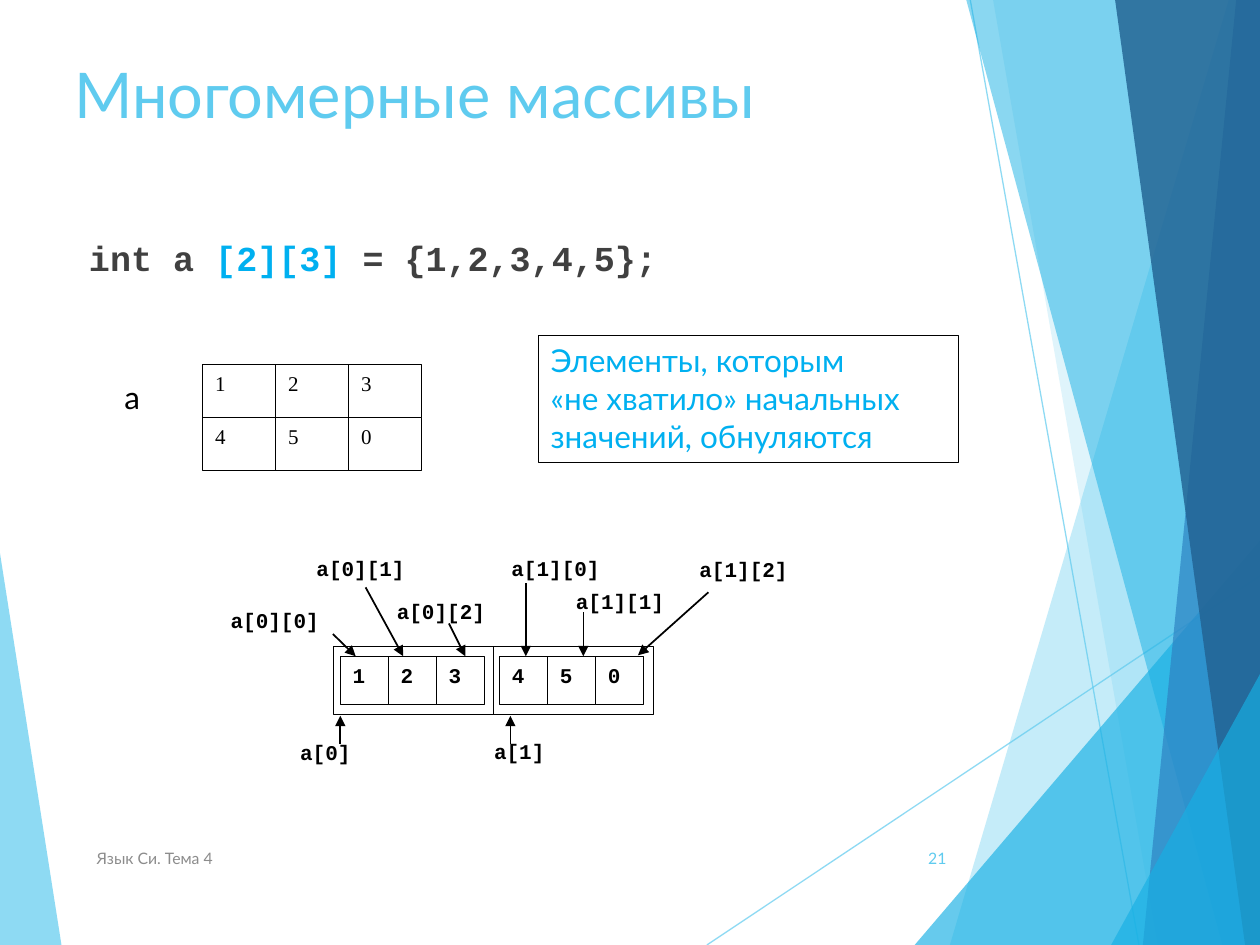
from dataclasses import dataclass
from lxml import etree
from pptx import Presentation
from pptx.dml.color import RGBColor
from pptx.enum.shapes import MSO_CONNECTOR, MSO_SHAPE
from pptx.enum.text import MSO_ANCHOR, MSO_AUTO_SIZE, PP_ALIGN
from pptx.oxml.ns import qn
from pptx.util import Cm, Pt

RECT = MSO_SHAPE.RECTANGLE
LINE = MSO_CONNECTOR.STRAIGHT
LEFT, RIGHT = PP_ALIGN.LEFT, PP_ALIGN.RIGHT
TOP, MIDDLE = MSO_ANCHOR.TOP, MSO_ANCHOR.MIDDLE
FIXED = MSO_AUTO_SIZE.NONE


@dataclass(frozen=True)
class Theme:
    sky: str = "5FCBEF"
    cyan: str = "17B0E4"
    blue: str = "2E83C3"
    navy: str = "226292"
    mark: str = "00B0F0"
    code: str = "404040"
    ink: str = "000000"
    gray: str = "8C8C8C"
    paper: str = "FFFFFF"
    sans: str = "Lato"
    serif: str = "Times New Roman"
    mono: str = "Courier New"
    title: int = 36
    lead: int = 20
    body: int = 18
    cell: int = 12
    foot: int = 9


T = Theme()
WIDE, HIGH = 25.4, 19.05


def write(frame, text, size=T.cell, font=T.mono, color=T.ink, bold=False,
          align=LEFT, anchor=TOP):
    frame.word_wrap = True
    frame.auto_size = FIXED
    frame.vertical_anchor = anchor
    para = frame.paragraphs[0]
    para.alignment = align
    parts = [(text, color)] if isinstance(text, str) else text
    for words, tint in parts:
        for row, piece in enumerate(words.split("\n")):
            if row:
                para.add_line_break()
            run = para.add_run()
            run.text = piece
            run.font.size = Pt(size)
            run.font.name = font
            run.font.bold = bold
            run.font.color.rgb = RGBColor.from_string(tint)
    return para


def label(slide, box, text, **style):
    area = slide.shapes.add_textbox(*map(Cm, box))
    write(area.text_frame, text, **style)


def holder(slide, index, box, text, **style):
    area = slide.placeholders[index]
    area.left, area.top, area.width, area.height = map(Cm, box)
    slide.shapes._spTree.append(area._element)
    return write(area.text_frame, text, **style)


def frame(slide, box, weight, fill=None):
    area = slide.shapes.add_shape(RECT, *map(Cm, box))
    area.shadow.inherit = False
    area.line.color.rgb = RGBColor.from_string(T.ink)
    area.line.width = Pt(weight)
    if fill:
        area.fill.solid()
        area.fill.fore_color.rgb = RGBColor.from_string(fill)
    else:
        area.fill.background()
    return area


def fade(part, alpha):
    for tint in part.iter(qn("a:srgbClr")):
        etree.SubElement(tint, qn("a:alpha"), val=str(alpha * 1000))


def stroke(slide, ends, color=T.ink, weight=1, arrow=True):
    link = slide.shapes.add_connector(LINE, *map(Cm, ends))
    link.line.color.rgb = RGBColor.from_string(color)
    link.line.width = Pt(weight)
    props = link._element.spPr
    if arrow:
        etree.SubElement(props.find(qn("a:ln")), qn("a:tailEnd"), type="triangle")
    etree.SubElement(props, qn("a:effectLst"))
    return link


def facet(slide, points, color, alpha):
    spots = [(Cm(x), Cm(y)) for x, y in points]
    pen = slide.shapes.build_freeform(*spots[0], scale=1.0)
    pen.add_line_segments(spots[1:], close=True)
    area = pen.convert_to_shape()
    area.shadow.inherit = False
    area.line.fill.background()
    area.fill.solid()
    area.fill.fore_color.rgb = RGBColor.from_string(color)
    fade(area._element.spPr, alpha)


def decor(slide, box):
    left, top, width, height = box
    end, base = left + width, top + height
    facet(slide, [(left, top + 11.15), (left + 1.24, base), (left, base)], T.sky, 70)
    for x, y, reach, drop in ((14.25, 19.05, 25.4, 11.61), (19.56, 0, 22.96, 19.05)):
        ray = stroke(slide, (left + x, top + y, left + reach, top + drop),
                     color=T.sky, weight=0.75, arrow=False)
        fade(ray._element.spPr, 70)
    for peak, y, foot, color, alpha in (
            (24.77, 0, 19.15, T.sky, 36),
            (20.02, 0, 23.34, T.sky, 20),
            (25.4, 10.9, 18.44, T.cyan, 66),
            (19.48, 0, 24.64, T.cyan, 50),
            (24.92, 0, 23.04, T.blue, 70),
            (22.48, 0, 25.1, T.navy, 82),
            (25.4, 13.59, 22.4, T.cyan, 66)):
        facet(slide, [(left + peak, top + y), (left + foot, base), (end, base),
                      (end, top + y)], color, alpha)


def grid(slide, box, rows, **style):
    left, top, width, height = box
    high = height / len(rows)
    for r, row in enumerate(rows):
        wide = width / len(row)
        for c, value in enumerate(row):
            cell = frame(slide, (left + c * wide, top + r * high, wide, high),
                         0.5, T.paper)
            write(cell.text_frame, value, **style)


def matrix(slide, box):
    left, top, width, height = box
    label(slide, (left, top + 0.15, 2.21, 1.02), "a", size=T.body, font=T.sans)
    grid(slide, (left + 1.83, top, width - 1.83, height), ("123", "450"),
         font=T.serif)


def memory(slide, box):
    left, top, width, height = box
    half = width / 2
    for i, (row, inset) in enumerate((("123", 0.15), ("450", 0.13))):
        start = left + i * half
        grid(slide, (start + inset, top + 0.2, 2.9, 0.97), (row,), bold=True)
        frame(slide, (start, top, half, height), 0.25)
    for text, x, y, ends in (
            ("a[0]", -0.91, 1.75, (0.15, 1.96, 0.15, 1.4)),
            ("a[1]", 3, 1.73, (3.58, 1.96, 3.58, 1.4)),
            ("a[0][0]", -2.31, -0.91, (0, -0.25, 0.46, 0.2)),
            ("a[0][1]", -0.58, -1.96, (0.66, -1.19, 1.42, 0.2)),
            ("a[0][2]", 1.04, -1.09, (2.34, -0.46, 2.67, 0.2)),
            ("a[1][0]", 3.35, -1.96, (3.89, -1.27, 3.89, 0.2)),
            ("a[1][1]", 4.65, -1.3, (5.05, -0.69, 5.05, 0.2)),
            ("a[1][2]", 7.14, -1.93, (7.57, -1.09, 6.15, 0.18))):
        label(slide, (left + x, top + y, 3.43, 1.04), text, bold=True)
        x1, y1, x2, y2 = ends
        stroke(slide, (left + x1, top + y1, left + x2, top + y2))


def head(slide, box):
    left, top, width, height = box
    holder(slide, 0, (left, top, width, 3.66), "Многомерные массивы",
           size=T.title, font=T.sans, color=T.sky)
    para = holder(slide, 1, (left, top + 3.23, 16.48, height - 3.23),
                  [("int a ", T.code), ("[2][3] ", T.mark),
                   ("= {1,2,3,4,5};", T.code)], size=T.lead, bold=True)
    para.line_spacing = 1.5
    para.space_before = Pt(10)
    props = para._p.get_or_add_pPr()
    props.set("marL", str(Cm(0.3)))
    props.set("indent", "0")
    etree.SubElement(props, qn("a:buNone"))


def note(slide, box):
    area = frame(slide, box, 0.75)
    write(area.text_frame,
          "Элементы, которым \n«не хватило» начальных значений, обнуляются",
          size=T.body, font=T.sans, color=T.mark)


def foot(slide, box):
    left, top, width, height = box
    style = dict(size=T.foot, font=T.sans, anchor=MIDDLE)
    label(slide, (left, top, 12.85, height), "Язык Си. Тема 4", color=T.gray, **style)
    label(slide, (left + width - 1.42, top, 1.42, height), "21",
          color=T.sky, align=RIGHT, **style)


deck = Presentation()
deck.slide_width, deck.slide_height = Cm(WIDE), Cm(HIGH)
page = deck.slides.add_slide(deck.slide_layouts[1])
decor(page, (0, 0, WIDE, HIGH))
head(page, (1.24, 0.99, 17.63, 5.62))
matrix(page, (2.26, 7.34, 6.24, 2.14))
memory(page, (6.71, 13.03, 6.46, 1.37))
foot(page, (1.7, 16.79, 17.63, 1.02))
note(page, (10.85, 6.76, 8.48, 2.57))
deck.save("out.pptx")
